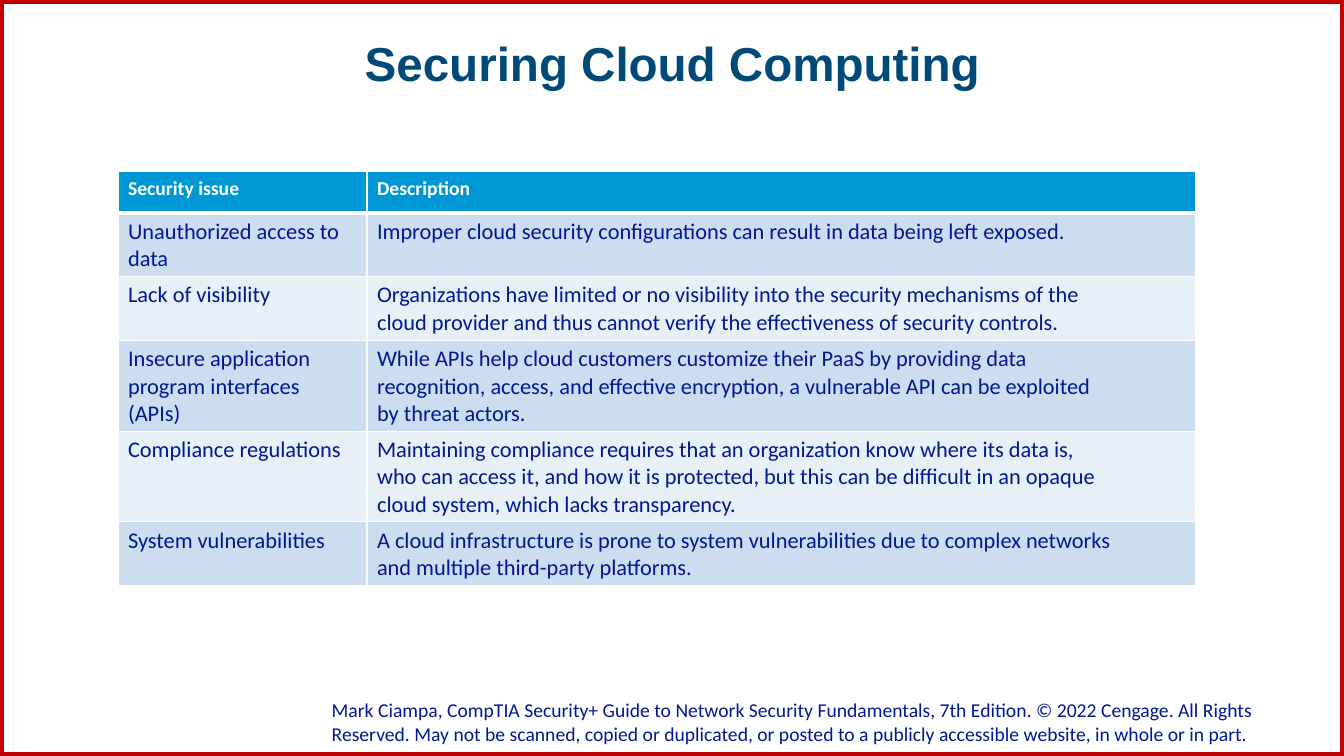
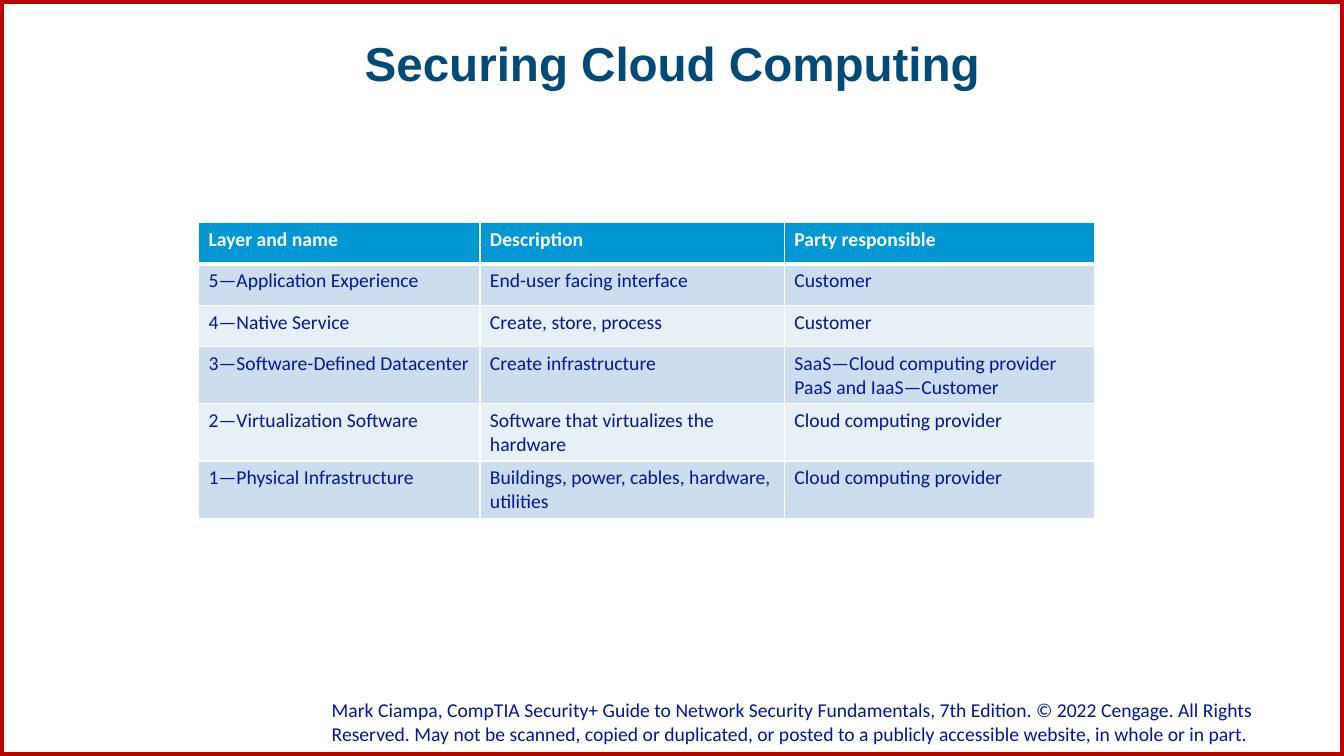
import lxml.etree
import pptx
import pptx.dml.color
import pptx.enum.shapes
import pptx.enum.text
import pptx.oxml.ns
import pptx.util

PX = 9144  # EMU per px, 100 px to the inch
WIDTH, HEIGHT = 1333, 750

RGBColor = pptx.dml.color.RGBColor
WHITE = RGBColor(0xFF, 0xFF, 0xFF)
RED = RGBColor(0xC0, 0x00, 0x00)
NAVY = RGBColor(0x01, 0x18, 0x92)
TITLE_BLUE = RGBColor(0x00, 0x4A, 0x78)
HEADER_BLUE = RGBColor(0x00, 0x98, 0xD4)
BANDS = (RGBColor(0xCC, 0xDD, 0xEF), RGBColor(0xE7, 0xEF, 0xF7))

TITLE_FONT = {"name": "Arial", "size": 34, "bold": True, "color": TITLE_BLUE}
HEADER_FONT = {"name": "Calibri", "size": 14, "bold": True, "color": WHITE}
BODY_FONT = {"name": "Calibri", "size": 14, "bold": False, "color": NAVY}

TITLE = "Securing Cloud Computing"
COPYRIGHT = (
    "Mark Ciampa, CompTIA Security+ Guide to Network Security Fundamentals, "
    "7th Edition. © 2022 Cengage. All Rights Reserved. May not be scanned, "
    "copied or duplicated, or posted to a publicly accessible website, "
    "in whole or in part."
)

SECURITY_ISSUES = [
    ("Security issue", "Description"),
    ("Unauthorized access to data",
     "Improper cloud security configurations can result in data being left exposed."),
    ("Lack of visibility",
     "Organizations have limited or no visibility into the security mechanisms of the\n"
     "cloud provider and thus cannot verify the effectiveness of security controls."),
    ("Insecure application program interfaces (APIs)",
     "While APIs help cloud customers customize their PaaS by providing data\n"
     "recognition, access, and effective encryption, a vulnerable API can be exploited\n"
     "by threat actors."),
    ("Compliance regulations",
     "Maintaining compliance requires that an organization know where its data is,\n"
     "who can access it, and how it is protected, but this can be difficult in an opaque\n"
     "cloud system, which lacks transparency."),
    ("System vulnerabilities",
     "A cloud infrastructure is prone to system vulnerabilities due to complex networks\n"
     "and multiple third-party platforms."),
]

CLOUD_LAYERS = [
    ("Layer and name", "Description", "Party responsible"),
    ("5—Application Experience", "End-user facing interface", "Customer"),
    ("4—Native Service", "Create, store, process", "Customer"),
    ("3—Software-Defined Datacenter", "Create infrastructure",
     "SaaS—Cloud computing provider\nPaaS and IaaS—Customer"),
    ("2—Virtualization Software", "Software that virtualizes the hardware",
     "Cloud computing provider"),
    ("1—Physical Infrastructure", "Buildings, power, cables, hardware, utilities",
     "Cloud computing provider"),
]


def px(*lengths):
    return [pptx.util.Emu(length * PX) for length in lengths]


def format_text(text_frame, font_format):
    for paragraph in text_frame.paragraphs:
        for key, value in font_format.items():
            if key == "color":
                paragraph.font.color.rgb = value
            elif key == "size":
                paragraph.font.size = pptx.util.Pt(value)
            else:
                setattr(paragraph.font, key, value)


def set_attributes(target, values):
    for key, value in values.items():
        setattr(target, key, value)


def add_borders(cell, widths):
    """Draw white cell borders; widths maps a side (L, R, T, B) to points."""
    properties = cell._tc.get_or_add_tcPr()
    qn = pptx.oxml.ns.qn
    for side, width in widths.items():
        line = lxml.etree.SubElement(
            properties, qn("a:ln" + side), w=str(pptx.util.Pt(width)))
        fill = lxml.etree.SubElement(line, qn("a:solidFill"))
        lxml.etree.SubElement(fill, qn("a:srgbClr"), val=str(WHITE))


class Deck:
    """Holds the shared style and the slide being built."""

    def __init__(self):
        self.presentation = pptx.Presentation()
        set_attributes(self.presentation, dict(
            zip(("slide_width", "slide_height"), px(WIDTH, HEIGHT))))
        self.slide = None

    def add_slide(self, title):
        self.slide = self.presentation.slides.add_slide(
            self.presentation.slide_layouts[5])
        self.add_footer()
        self.add_frame()
        self.set_title(title)

    def set_title(self, title):
        shape = self.slide.shapes.title
        set_attributes(shape, dict(
            zip(("left", "top", "width", "height"), px(92, 40, 1150, 74))))
        text_frame = shape.text_frame
        text_frame.text = title
        set_attributes(text_frame, {
            "margin_left": 0, "margin_top": 0,
            "margin_right": 0, "margin_bottom": 0,
            "word_wrap": True,
            "auto_size": pptx.enum.text.MSO_AUTO_SIZE.NONE,
            "vertical_anchor": pptx.enum.text.MSO_ANCHOR.TOP,
        })
        set_attributes(text_frame.paragraphs[0], {
            "alignment": pptx.enum.text.PP_ALIGN.CENTER, "line_spacing": 0.9})
        format_text(text_frame, TITLE_FONT)

    def add_footer(self):
        shape = self.slide.shapes.add_textbox(*px(329, 692, 979, 52))
        text_frame = shape.text_frame
        text_frame.text = COPYRIGHT
        set_attributes(text_frame, {
            "margin_left": 0, "margin_top": 0,
            "margin_right": 0, "margin_bottom": px(5)[0],
            "word_wrap": True,
            "vertical_anchor": pptx.enum.text.MSO_ANCHOR.BOTTOM,
        })
        format_text(text_frame, BODY_FONT)

    def add_frame(self):
        shape = self.slide.shapes.add_shape(
            pptx.enum.shapes.MSO_SHAPE.RECTANGLE, *px(0, 0, WIDTH, HEIGHT))
        shape.shadow.inherit = False
        shape.fill.background()
        shape.line.color.rgb = RED
        shape.line.width = pptx.util.Pt(6)

    def add_table(self, left, top, column_widths, rows, body_size, row_height=41):
        table = self.slide.shapes.add_table(
            len(rows), len(column_widths),
            *px(left, top, sum(column_widths), row_height * len(rows))).table
        for column, width in zip(table.columns, px(*column_widths)):
            column.width = width
        body_font = {**BODY_FONT, "size": body_size}
        for row_index, texts in enumerate(rows):
            is_header = row_index == 0
            color = HEADER_BLUE if is_header else BANDS[(row_index - 1) % 2]
            borders = {"L": 1, "R": 1,
                       "T": 3 if row_index == 1 else 1,
                       "B": 3 if is_header else 1}
            for column_index, text in enumerate(texts):
                cell = table.cell(row_index, column_index)
                cell.text_frame.text = text
                format_text(cell.text_frame, HEADER_FONT if is_header else body_font)
                add_borders(cell, borders)
                cell.fill.solid()
                cell.fill.fore_color.rgb = color


def main():
    deck = Deck()
    deck.add_slide(TITLE)
    deck.add_table(117, 170, (247, 822), SECURITY_ISSUES, body_size=16)
    deck.add_slide(TITLE)
    deck.add_table(197, 221, (279, 302, 308), CLOUD_LAYERS, body_size=14)
    deck.presentation.save("out.pptx")


if __name__ == "__main__":
    main()
